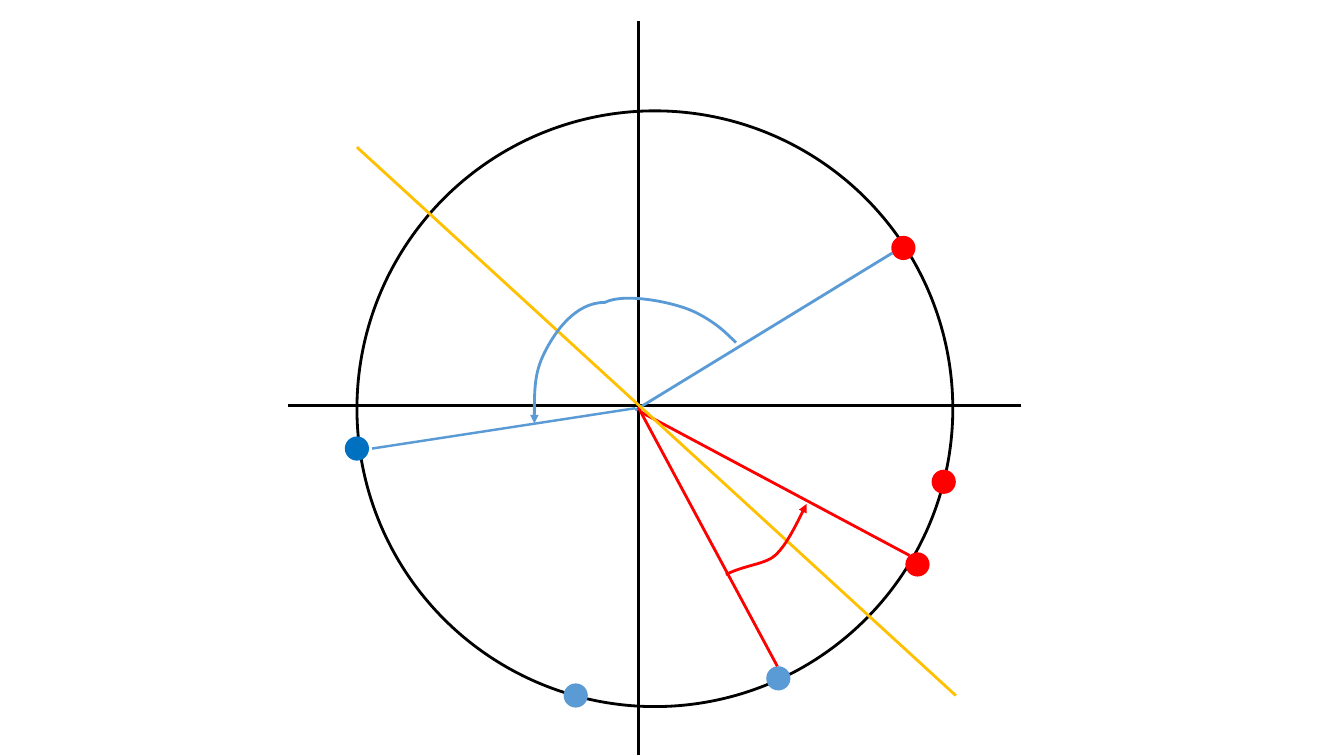
"""Draw a circle on crossed axes with marked points, rays and two rotation arrows."""
import dataclasses

import lxml.etree
import pptx
import pptx.dml.color
import pptx.enum.shapes
import pptx.oxml.ns
import pptx.util


@dataclasses.dataclass(frozen=True)
class Theme:
    black: str = "000000"
    red: str = "FF0000"
    sky: str = "5B9BD5"
    deep_blue: str = "0070C0"
    gold: str = "FFC000"
    stroke: float = 2
    thin_stroke: float = 1.75


theme = Theme()
qn = pptx.oxml.ns.qn
ovals = pptx.enum.shapes.MSO_SHAPE.OVAL

deck = pptx.Presentation()
deck.slide_width = pptx.util.Inches(13.33)
deck.slide_height = pptx.util.Inches(7.5)
slide = deck.slides.add_slide(deck.slide_layouts[6])
cell = deck.slide_height / 75


def grid(*cells):
    return [pptx.util.Emu(round(count * cell)) for count in cells]


def outline(item, color, width):
    item.line.color.rgb = pptx.dml.color.RGBColor.from_string(color)
    item.line.width = pptx.util.Pt(width)


circle = slide.shapes.add_shape(ovals, *grid(35.4, 11, 59.1, 59.1))
circle.shadow.inherit = False
circle.fill.background()
outline(circle, theme.black, theme.stroke)

dot_size = 2.4
for center_x, center_y, color in (
    (57.1, 69, theme.sky),
    (93.6, 47.8, theme.red),
    (89.6, 24.6, theme.red),
    (35.4, 44.5, theme.deep_blue),
    (91, 56, theme.red),
    (77.2, 67.3, theme.sky),
):
    corner = (center_x - dot_size / 2, center_y - dot_size / 2)
    dot = slide.shapes.add_shape(ovals, *grid(*corner, dot_size, dot_size))
    dot.shadow.inherit = False
    dot.fill.solid()
    dot.fill.fore_color.rgb = pptx.dml.color.RGBColor.from_string(color)
    dot.line.fill.background()

for ends, color, width in (
    ((63.3, 74.9, 63.3, 2.1), theme.black, theme.stroke),
    ((101.3, 40.2, 28.6, 40.2), theme.black, theme.stroke),
    ((88.5, 25.1, 63, 40.7), theme.sky, theme.stroke),
    ((63, 40.5, 36.9, 44.5), theme.sky, theme.thin_stroke),
    ((63.3, 40.4, 77.1, 66.1), theme.red, theme.stroke),
    ((63.6, 40.9, 90.2, 55.1), theme.red, theme.stroke),
    ((35.4, 14.6, 94.8, 69), theme.gold, theme.stroke),
):
    straight = pptx.enum.shapes.MSO_CONNECTOR.STRAIGHT
    ray = slide.shapes.add_connector(straight, *grid(*ends))
    outline(ray, color, width)
    lxml.etree.SubElement(ray._element.spPr, qn("a:effectLst"))

for color, start, controls in (
    (theme.sky, (72.9, 34.3), (
        (72.1, 32.9), (71.2, 31.5), (69.1, 30.7),
        (66.9, 29.9), (62.4, 28.9), (59.9, 29.5),
        (57.4, 30.2), (55.1, 32.6), (53.9, 34.7),
        (52.7, 36.8), (52.7, 39.4), (52.8, 42.1),
    )),
    (theme.red, (71.6, 56.7), (
        (73.6, 56.2), (75.6, 55.7), (77, 54.6),
        (78.4, 53.5), (79.2, 51.8), (80, 50.1),
    )),
):
    builder = slide.shapes.build_freeform(*start, scale=cell)
    builder.add_line_segments(controls, close=False)
    rotation = builder.convert_to_shape()
    rotation.shadow.inherit = False
    rotation.fill.background()
    outline(rotation, color, theme.stroke)
    steps = list(rotation._element.iter(qn("a:lnTo")))
    for first in range(0, len(steps), 3):
        curve = lxml.etree.Element(qn("a:cubicBezTo"))
        steps[first].addprevious(curve)
        for step in steps[first:first + 3]:
            curve.append(step[0])
            step.getparent().remove(step)
    stroke = rotation._element.spPr.find(qn("a:ln"))
    lxml.etree.SubElement(stroke, qn("a:tailEnd"), type="triangle")

deck.save("out.pptx")
